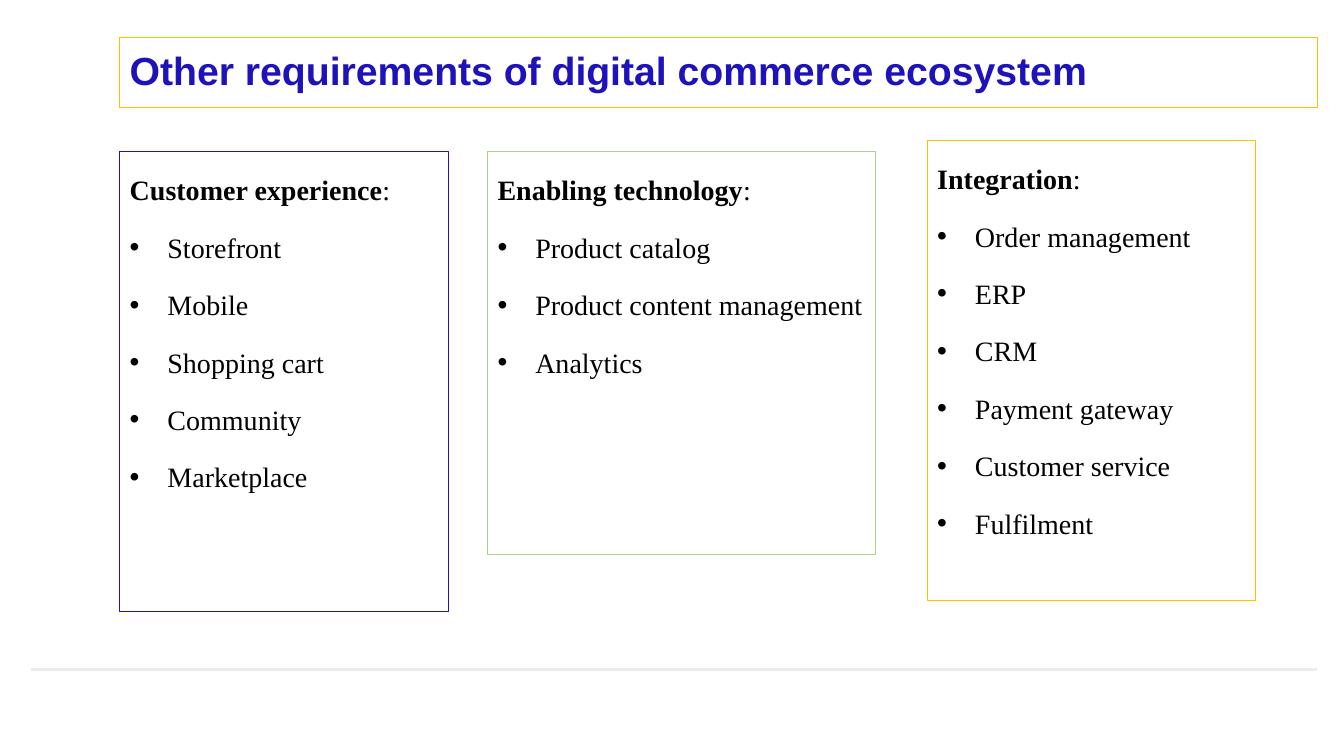
"""Build a slide listing the other requirements of a digital commerce ecosystem."""
import pptx
import pptx.dml.color
import pptx.enum.shapes
import pptx.enum.text
import pptx.oxml
import pptx.oxml.ns
import pptx.util
from dataclasses import dataclass

Cm = pptx.util.Cm
Pt = pptx.util.Pt


@dataclass(frozen=True)
class Theme:
    blue: str = "1E12BA"
    gold: str = "FFC000"
    green: str = "A9D18E"
    grey: str = "EAEDED"
    black: str = "000000"
    heading_font: str = "Arial"
    body_font: str = "Times New Roman"
    heading_size: int = 28
    body_size: int = 20
    border: float = 0.75
    rule: float = 2.25


theme = Theme()


def add_panel(left, top, width, height, border_color):
    panel = slide.shapes.add_textbox(Cm(left), Cm(top), Cm(width), Cm(height))
    panel.line.color.rgb = pptx.dml.color.RGBColor.from_string(border_color)
    panel.line.width = Pt(theme.border)
    panel.text_frame.word_wrap = True
    return panel.text_frame


def add_text(paragraph, text, font, size, color, bold=False):
    run = paragraph.add_run()
    run.text = text
    for attribute, value in {"name": font, "size": Pt(size), "bold": bold}.items():
        setattr(run.font, attribute, value)
    run.font.color.rgb = pptx.dml.color.RGBColor.from_string(color)


deck = pptx.Presentation()
deck.slide_width, deck.slide_height = Cm(33.87), Cm(19.05)
slide = deck.slides.add_slide(deck.slide_layouts[6])

footer_rule = slide.shapes.add_connector(
    pptx.enum.shapes.MSO_CONNECTOR.STRAIGHT, Cm(0.79), Cm(16.87), Cm(33.2), Cm(16.87)
)
footer_rule.line.color.rgb = pptx.dml.color.RGBColor.from_string(theme.grey)
footer_rule.line.width = Pt(theme.rule)
footer_rule._element.spPr.append(pptx.oxml.parse_xml(f'<a:effectLst {pptx.oxml.ns.nsdecls("a")}/>'))

heading = add_panel(3.02, 0.94, 30.18, 1.78, theme.gold)
heading.vertical_anchor = pptx.enum.text.MSO_ANCHOR.MIDDLE
heading.paragraphs[0].line_spacing = 0.9
add_text(heading.paragraphs[0], "Other requirements of digital commerce ecosystem",
         theme.heading_font, theme.heading_size, theme.blue, True)

requirements = [
    ("Customer experience", (3.02, 3.81, 8.28, 11.61), theme.blue,
     ["Storefront", "Mobile", "Shopping cart", "Community", "Marketplace"]),
    ("Enabling technology", (12.29, 3.81, 9.78, 10.16), theme.green,
     ["Product catalog", "Product content management", "Analytics"]),
    ("Integration", (23.37, 3.53, 8.28, 11.61), theme.gold,
     ["Order management", "ERP", "CRM", "Payment gateway", "Customer service", "Fulfilment"]),
]
body_style = (theme.body_font, theme.body_size, theme.black)
spacing = {"line_spacing": 1.5, "space_after": Pt(5)}
bullet_indent = {"marL": str(Cm(0.95)), "indent": str(Cm(-0.95))}

for category, bounds, border_color, items in requirements:
    panel_text = add_panel(*bounds, border_color)
    add_text(panel_text.paragraphs[0], category, *body_style, True)
    add_text(panel_text.paragraphs[0], ":", *body_style)
    for item in items:
        entry = panel_text.add_paragraph()
        add_text(entry, item, *body_style)
    for paragraph in panel_text.paragraphs:
        for attribute, value in spacing.items():
            setattr(paragraph, attribute, value)
    for entry in panel_text.paragraphs[1:]:
        properties = entry._p.get_or_add_pPr()
        for attribute, value in bullet_indent.items():
            properties.set(attribute, value)
        for bullet in ('<a:buFont {} typeface="Arial"/>', '<a:buChar {} char="•"/>'):
            properties.append(pptx.oxml.parse_xml(bullet.format(pptx.oxml.ns.nsdecls("a"))))

deck.save("out.pptx")
